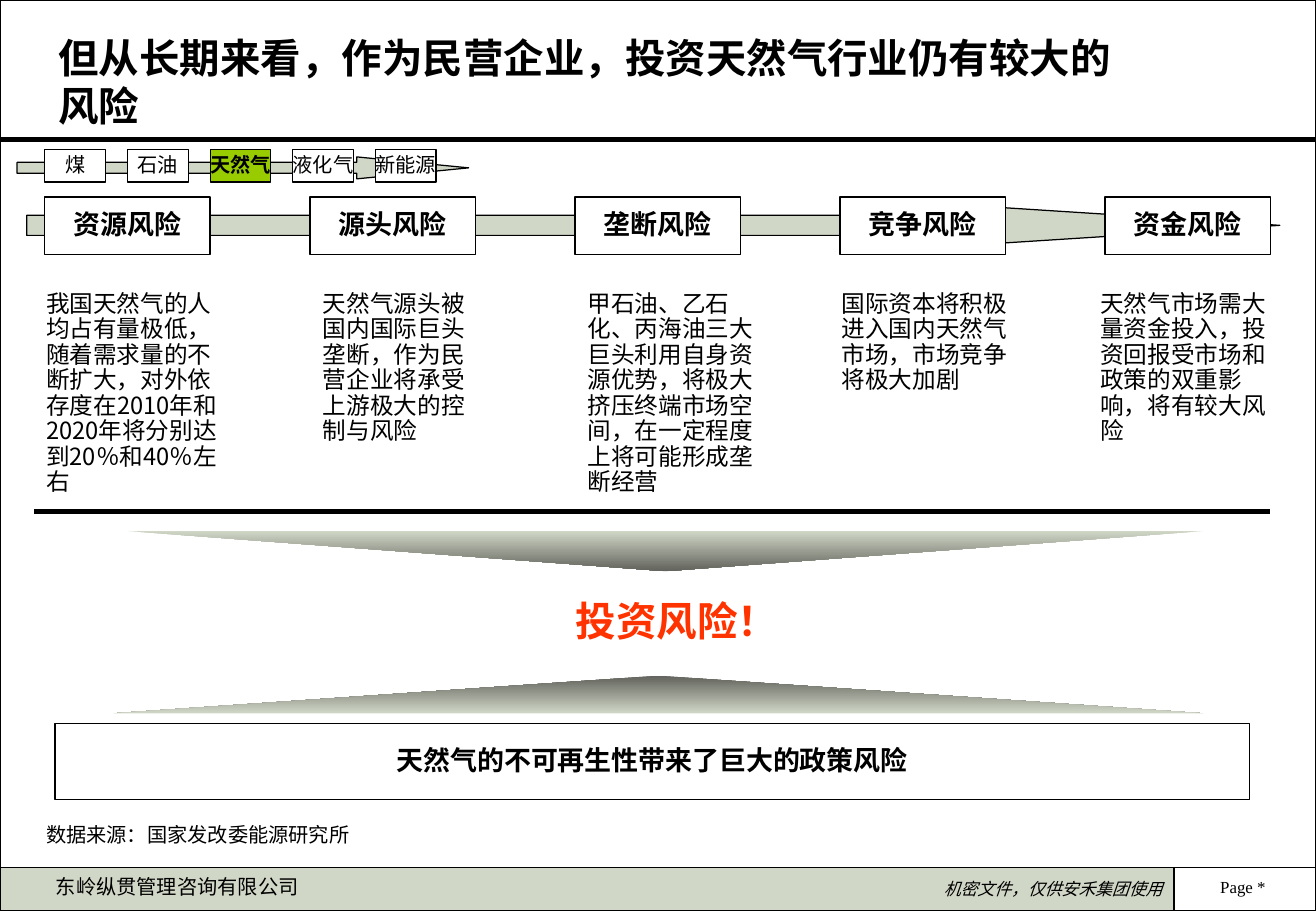
"""Build the slide on the long-term risks of investing in natural gas."""
from lxml import etree
from pptx import Presentation
from pptx.dml.color import RGBColor
from pptx.enum import shapes, text
from pptx.oxml.ns import qn
from pptx.util import Pt

TITLE = "但从长期来看，作为民营企业，投资天然气行业仍有较大的风险"
ENERGIES = ["煤", "石油", "天然气", "液化气", "新能源"]
CURRENT_ENERGY = "天然气"
RISKS = [
    ("资源风险", 20.2, 126, "我国天然气的人均占有量极低，随着需求量的不断扩大，对外依存度在2010年和2020年将分别达到20％和40％左右"),
    ("源头风险", 184.4, 103.7, "天然气源头被国内国际巨头垄断，作为民营企业将承受上游极大的控制与风险"),
    ("垄断风险", 341.3, 122.4, "甲石油、乙石化、丙海油三大巨头利用自身资源优势，将极大挤压终端市场空间，在一定程度上将可能形成垄断经营"),
    ("竞争风险", 491.8, 118.8, "国际资本将积极进入国内天然气市场，市场竞争将极大加剧"),
    ("资金风险", 645.2, 125.3, "天然气市场需大量资金投入，投资回报受市场和政策的双重影响，将有较大风险"),
]
CONCLUSION = "投资风险！"
POLICY = "天然气的不可再生性带来了巨大的政策风险"
DATA_SOURCE = "数据来源：国家发改委能源研究所"
COMPANY = "东岭纵贯管理咨询有限公司"
CONFIDENTIAL = "机密文件，仅供安禾集团使用"
PAGE = "Page *"

COLORS = {"ink": "000000", "paper": "FFFFFF", "sage": "D1D7C7",
          "shade": "61635C", "current": "99CC00", "alert": "FF3300"}
CJK = "Noto Sans CJK SC"
INSETS = (7.2, 3.6, 7.2, 3.6)
MIDDLE, TOP = text.MSO_ANCHOR.MIDDLE, text.MSO_ANCHOR.TOP
LEFT, CENTER, RIGHT = text.PP_ALIGN.LEFT, text.PP_ALIGN.CENTER, text.PP_ALIGN.RIGHT
RECT = shapes.MSO_SHAPE.RECTANGLE

deck = Presentation()
deck.slide_width, deck.slide_height = Pt(780.25), Pt(540)
slide = deck.slides.add_slide(deck.slide_layouts[5])


def rgb(name):
    return RGBColor.from_string(COLORS[name])


def write(holder, words, size, bold=False, italic=False, color="ink", face=CJK, align=LEFT,
          anchor=TOP, wrap=True, insets=INSETS, spacing=0.9, before=0.0):
    frame = holder.text_frame
    frame.auto_size = text.MSO_AUTO_SIZE.NONE
    frame.word_wrap, frame.vertical_anchor = wrap, anchor
    frame.margin_left, frame.margin_top, frame.margin_right, frame.margin_bottom = map(Pt, insets)
    paragraph = frame.paragraphs[0]
    paragraph.alignment, paragraph.line_spacing = align, spacing
    paragraph.space_before = Pt(before)
    paragraph._element.get_or_add_pPr().set("hangingPunct", "0")
    run = paragraph.add_run()
    run.text = words
    font = run.font
    font.size, font.bold, font.italic, font.name = Pt(size), bold, italic, face
    font.color.rgb = rgb(color)
    etree.SubElement(font._element, qn("a:ea")).set("typeface", CJK)


def add_block(kind, box, fill=None, line=0.75, adjust=()):
    block = slide.shapes.add_shape(kind, *map(Pt, box))
    block.shadow.inherit = False
    for index, value in enumerate(adjust):
        block.adjustments[index] = value
    if isinstance(fill, tuple):
        block.fill.gradient()
        block.fill.gradient_angle = 270
        for stop, name in zip(block.fill.gradient_stops, fill):
            stop.color.rgb = rgb(name)
    elif fill:
        block.fill.solid()
        block.fill.fore_color.rgb = rgb(fill)
    else:
        block.fill.background()
    if line:
        block.line.color.rgb = rgb("ink")
        block.line.width = Pt(line)
    else:
        block.line.fill.background()
    return block


def add_rule(left, right, y):
    rule = slide.shapes.add_connector(shapes.MSO_CONNECTOR.STRAIGHT, Pt(left), Pt(y), Pt(right), Pt(y))
    rule.line.color.rgb = rgb("ink")
    rule.line.width = Pt(3)
    etree.SubElement(rule._element.spPr, qn("a:effectLst"))


def add_note(box, words, size, **style):
    write(slide.shapes.add_textbox(*map(Pt, box)), words, size, **style)


heading = slide.shapes.title
heading.left, heading.top, heading.width, heading.height = map(Pt, (20.2, 18, 658.8, 60.5))
write(heading, TITLE, 24, bold=True, anchor=MIDDLE, insets=(14.4, 2.9, 14.4, 2.9), spacing=1.0)

add_block(RECT, (692, 514.2, 88.25, 25.8), line=1)
footer = add_block(RECT, (0, 514.2, 696.2, 25.8), "sage", 1)
write(footer, CONFIDENTIAL, 10, italic=True, face="Arial", align=RIGHT, anchor=MIDDLE, spacing=1.0)
add_block(RECT, (0, 0, 780, 540), line=1)
add_rule(0, 780, 82.8)
add_note((0, 516.5, 210.2, 20.2), COMPANY, 12, align=CENTER, before=7.5)
add_note((698.4, 516.5, 77, 20.2), PAGE, 10, face="Times New Roman", align=CENTER,
         anchor=MIDDLE, insets=(0, 0, 0, 0), before=6.2)

RIGHT_ARROW = shapes.MSO_SHAPE.RIGHT_ARROW
add_block(RIGHT_ARROW, (10.1, 93, 267.8, 13), "sage", adjust=(0.5, 5.1))
for index, energy in enumerate(ENERGIES):
    current = energy == CURRENT_ENERGY
    step = add_block(RECT, (26.6 + 49 * index, 88.6, 36, 19.4), "current" if current else "paper")
    write(step, energy, 12, bold=current, align=CENTER, anchor=MIDDLE, wrap=False, before=7.5)

add_block(RIGHT_ARROW, (15.8, 121.7, 743, 23.8), "sage", adjust=(0.5, 7.82))
for index, (risk, left, width, detail) in enumerate(RISKS):
    label = add_block(RECT, (26.6 + 157.15 * index, 116.7, 98, 34), "paper")
    write(label, risk, 16, bold=True, align=CENTER, anchor=MIDDLE, wrap=False, before=10)
    add_note((left, 169.4, width, 128.2), detail, 14, before=8.8)

add_rule(20.4, 753.1, 303.3)
add_block(shapes.MSO_SHAPE.DOWN_ARROW, (75.6, 314.8, 637.9, 23.8), ("sage", "shade"), 0, (0.54, 1))
add_note((293, 353, 216.7, 33.1), CONCLUSION, 24, bold=True, color="alert", align=CENTER, before=15)
add_block(shapes.MSO_SHAPE.UP_ARROW, (67, 400.5, 646.6, 22.3), ("shade", "sage"), 0, (0.51, 1))
policy = add_block(RECT, (32.6, 428.7, 708.5, 45.4))
write(policy, POLICY, 16, bold=True, align=CENTER, anchor=MIDDLE, before=10)
add_note((20.2, 485.5, 354.2, 20.2), DATA_SOURCE, 12, before=7.5)

deck.save("out.pptx")
